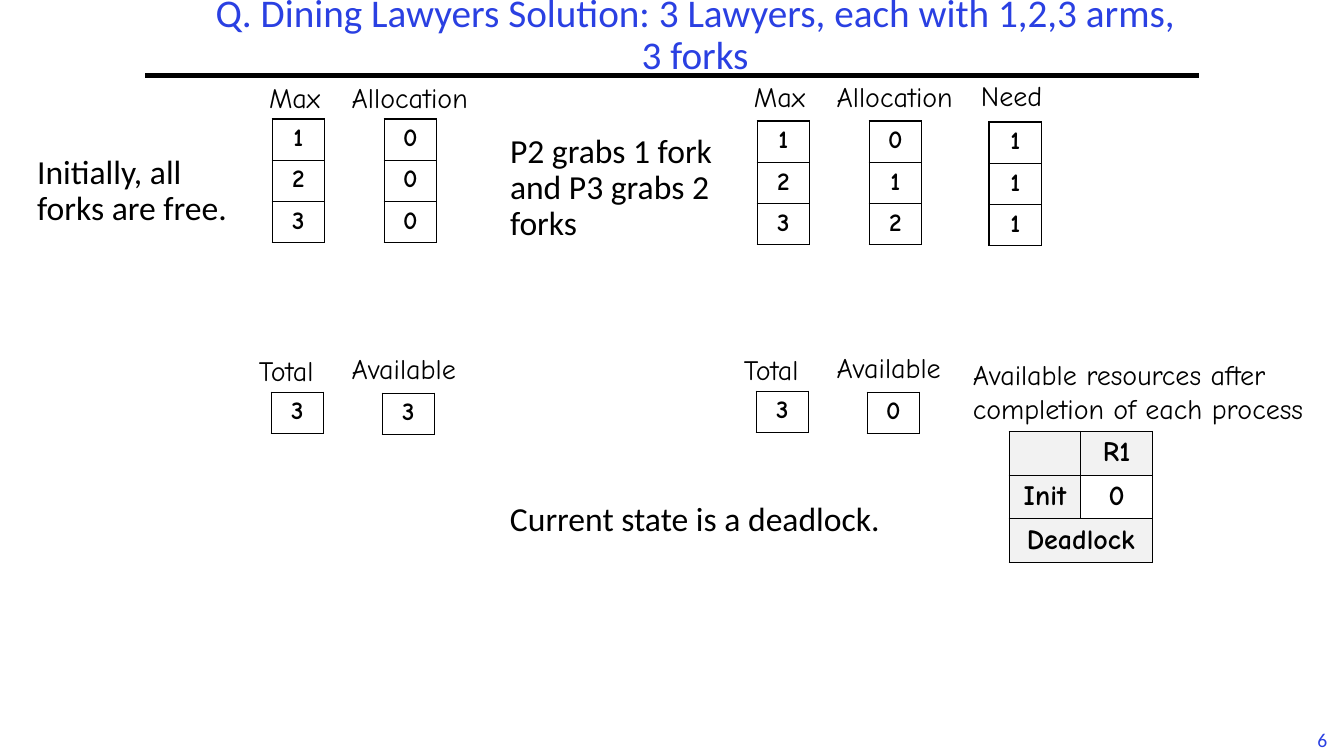
import pptx
import pptx.dml.color
import pptx.enum.shapes
import pptx.enum.text
import pptx.oxml
import pptx.oxml.ns
import pptx.util
from pptx.util import Inches

COLORS = {"ink": "000000", "title": "2A40E2", "header": "F2F2F2"}
HAND, BODY = "Comic Neue", "Calibri"
CELL_W, CELL_H = 0.52, 0.41
CENTER = pptx.enum.text.PP_ALIGN.CENTER


def rgb(name):
    return pptx.dml.color.RGBColor.from_string(COLORS[name])


def style(p, font, size, color="ink", bold=False, align=None):
    p.font.name, p.font.size, p.font.bold = font, pptx.util.Pt(size), bold
    p.font.color.rgb = rgb(color)
    p.alignment = align


def add_text(s, box, text, font, size, color="ink", align=None, wrap=True, spacing=None):
    tf = s.shapes.add_textbox(*map(Inches, box)).text_frame
    tf.word_wrap = wrap
    p = tf.paragraphs[0]
    p.text = text
    p.line_spacing = spacing
    style(p, font, size, color, align=align)
    return tf


def add_label(s, left, top, width, text):
    add_text(s, (left, top, width, 0.44), text, HAND, 20, wrap=False)


def add_comment(s, box, text):
    add_text(s, box, text, BODY, 24, spacing=0.9)


def border(cell):
    """Draw a thin line on all four sides of a cell."""
    tcPr = cell._tc.get_or_add_tcPr()
    for i, side in enumerate(("lnL", "lnR", "lnT", "lnB")):
        tcPr.insert(i, pptx.oxml.parse_xml(
            f'<a:{side} {pptx.oxml.ns.nsdecls("a")} w="12700"><a:solidFill>'
            f'<a:srgbClr val="{COLORS["ink"]}"/></a:solidFill></a:{side}>'))


def add_grid(s, left, top, rows, size=18, cell_w=CELL_W, cell_h=CELL_H):
    n_rows, n_cols = len(rows), len(rows[0])
    table = s.shapes.add_table(n_rows, n_cols, Inches(left), Inches(top),
                               Inches(cell_w * n_cols), Inches(cell_h * n_rows)).table
    table.first_row = table.horz_banding = False
    for r, values in enumerate(rows):
        table.rows[r].height = Inches(cell_h)
        for c, value in enumerate(values):
            table.columns[c].width = Inches(cell_w)
            cell = table.cell(r, c)
            cell.fill.background()
            cell.text = value
            style(cell.text_frame.paragraphs[0], HAND, size, bold=True, align=CENTER)
            border(cell)
    return table


def add_state(s, left, label_top, grid_top, low_top, allocation, available):
    """Max and Allocation columns above, Total and Available cells below."""
    add_label(s, left + 0.1, label_top, 0.76, "Max")
    add_label(s, left + 0.92, label_top, 1.5, "Allocation")
    add_grid(s, left + 0.23, grid_top, ["1", "2", "3"])
    add_grid(s, left + 1.34, grid_top, allocation)
    add_label(s, left, low_top + 0.02, 0.89, "Total")
    add_label(s, left + 0.92, low_top, 1.39, "Available")
    add_grid(s, left + 0.22, low_top + 0.45, ["3"])
    add_grid(s, left + 1.32, low_top + 0.46, [available])


def add_completion(s, left, top):
    """Resources available after each process, ending in deadlock."""
    add_text(s, (left, top, 3.79, 0.77),
             "Available resources after completion of each process", HAND, 20)
    table = add_grid(s, left + 0.46, top + 0.78,
                     [("", "R1"), ("Init", "0"), ("Deadlock", "")], 20, 0.71, 0.43)
    table.cell(2, 0).merge(table.cell(2, 1))
    for r, c in ((0, 0), (0, 1), (1, 0), (2, 0)):
        fill = table.cell(r, c).fill
        fill.solid()
        fill.fore_color.rgb = rgb("header")


def add_frame(s):
    """Title, rule below it and slide number."""
    add_text(s, (12.9, 7.17, 0.43, 0.33), "6", BODY, 14, "title", CENTER, wrap=False)
    rule = s.shapes.add_connector(pptx.enum.shapes.MSO_CONNECTOR.STRAIGHT,
                                  *map(Inches, (1.44, 0.75, 11.89, 0.75)))
    rule.line.color.rgb = rgb("ink")
    rule.line.width = pptx.util.Pt(3)
    rule._element.spPr.append(pptx.oxml.parse_xml(
        f'<a:effectLst {pptx.oxml.ns.nsdecls("a")}/>'))
    tf = add_text(s, (1.98, -0.27, 9.83, 1.25),
                  "Q. Dining Lawyers Solution: 3 Lawyers, each with 1,2,3 arms, 3 forks",
                  BODY, 28, "title", CENTER, spacing=0.9)
    tf.vertical_anchor = pptx.enum.text.MSO_ANCHOR.MIDDLE


def main():
    prs = pptx.Presentation()
    prs.slide_width, prs.slide_height = Inches(13.33), Inches(7.5)
    s = prs.slides.add_slide(prs.slide_layouts[6])
    add_frame(s)
    add_comment(s, (0.27, 1.49, 2.12, 1.25), "Initially, all forks are free.")
    add_state(s, 2.47, 0.75, 1.18, 3.44, ["0", "0", "0"], "3")
    add_comment(s, (4.96, 1.28, 2.75, 1.25), "P2 grabs 1 fork and P3 grabs 2 forks")
    add_state(s, 7.28, 0.74, 1.2, 3.43, ["0", "1", "2"], "0")
    add_label(s, 9.63, 0.73, 0.9, "Need")
    add_grid(s, 9.81, 1.21, ["1", "1", "1"])
    add_completion(s, 9.55, 3.5)
    add_comment(s, (4.96, 4.94, 3.87, 1.67), "Current state is a deadlock.")
    prs.save("out.pptx")


if __name__ == "__main__":
    main()
